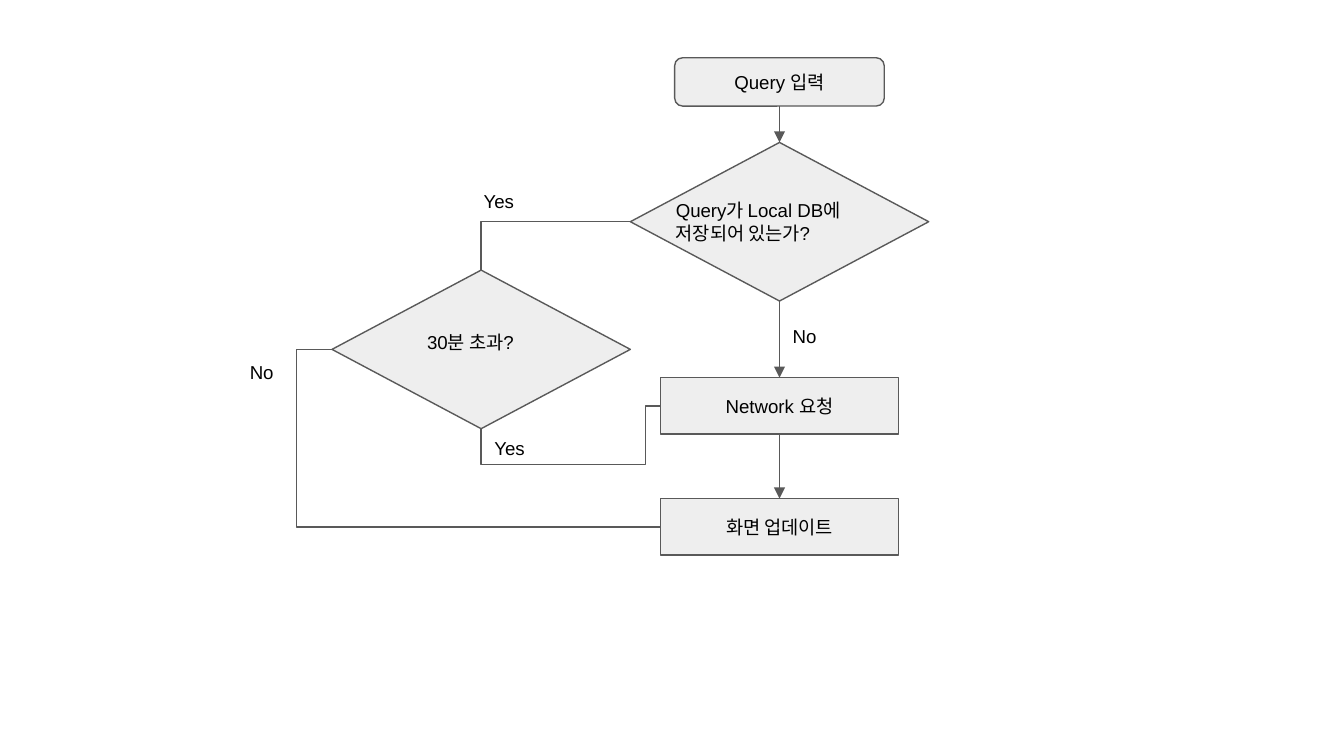
from dataclasses import dataclass

from lxml import etree
from pptx import Presentation
from pptx.dml.color import RGBColor
from pptx.enum.shapes import MSO_CONNECTOR, MSO_SHAPE
from pptx.enum.text import MSO_ANCHOR, PP_ALIGN
from pptx.oxml.ns import qn
from pptx.util import Inches, Pt

ROUNDED, RECT, DIAMOND = MSO_SHAPE.ROUNDED_RECTANGLE, MSO_SHAPE.RECTANGLE, MSO_SHAPE.DIAMOND
STRAIGHT, ELBOW = MSO_CONNECTOR.STRAIGHT, MSO_CONNECTOR.ELBOW
TOP, MIDDLE = MSO_ANCHOR.TOP, MSO_ANCHOR.MIDDLE
LEFT, CENTER = PP_ALIGN.LEFT, PP_ALIGN.CENTER

COLORS = {"fill": "EEEEEE", "line": "595959", "text": "000000"}
FONT, FONT_SIZE, LINE_WIDTH, INSET = "Arial", 10, 0.75, 0.1
SLIDE_WIDTH = 10
SLIDE_HEIGHT = SLIDE_WIDTH * 9 / 16

# Grid: centre lines of the columns, top edges of the rows (inches)
COLUMNS = {"side": 3.58, "main": 5.8}
ROWS = {"input": 0.43, "stored": 1.06, "expired": 2.01, "request": 2.81, "update": 3.71}
SIZES = {ROUNDED: (1.56, 0.36), DIAMOND: (2.22, 1.18), RECT: (1.77, 0.42)}


@dataclass(frozen=True)
class Node:
    kind: int
    column: str
    row: str
    text: str = ""

    @property
    def frame(self) -> tuple[float, float, float, float]:
        width, height = SIZES[self.kind]
        return COLUMNS[self.column] - width / 2, ROWS[self.row], width, height

    def side(self, name: str) -> tuple[float, float]:
        x, y, width, height = self.frame
        return {
            "top": (x + width / 2, y),
            "bottom": (x + width / 2, y + height),
            "left": (x, y + height / 2),
        }[name]


@dataclass(frozen=True)
class Label:
    text: str
    left: float
    top: float
    width: float
    height: float


@dataclass(frozen=True)
class Elbow:
    start: tuple[float, float]
    end: tuple[float, float]
    preset: str
    adjustments: tuple[int, ...] = ()
    starts_vertical: bool = False


def rgb(name: str) -> RGBColor:
    return RGBColor.from_string(COLORS[name])


def write_text(shape, text: str, anchor, alignment) -> None:
    frame = shape.text_frame
    frame.word_wrap = True
    frame.vertical_anchor = anchor
    frame.margin_left = frame.margin_right = Inches(INSET)
    frame.margin_top = frame.margin_bottom = Inches(INSET)
    frame.text = text
    for paragraph in frame.paragraphs:
        paragraph.alignment = alignment
        paragraph.font.name = FONT
        paragraph.font.size = Pt(FONT_SIZE)
        paragraph.font.color.rgb = rgb("text")


def set_line(shape) -> None:
    shape.line.color.rgb = rgb("line")
    shape.line.width = Pt(LINE_WIDTH)


def draw_node(page, node: Node) -> None:
    box = page.shapes.add_shape(node.kind, *map(Inches, node.frame))
    box.shadow.inherit = False
    box.fill.solid()
    box.fill.fore_color.rgb = rgb("fill")
    set_line(box)
    if node.text:
        write_text(box, node.text, MIDDLE, CENTER)


def draw_label(page, label: Label) -> None:
    frame = (label.left, label.top, label.width, label.height)
    box = page.shapes.add_textbox(*map(Inches, frame))
    write_text(box, label.text, TOP, LEFT)


def draw_connector(page, kind, start: tuple[float, float], end: tuple[float, float]):
    connector = page.shapes.add_connector(kind, *map(Inches, (*start, *end)))
    set_line(connector)
    etree.SubElement(connector._element.spPr, qn("a:effectLst"))
    return connector


def draw_arrow(page, source: Node, target: Node) -> None:
    arrow = draw_connector(page, STRAIGHT, source.side("bottom"), target.side("top"))
    etree.SubElement(arrow.line._get_or_add_ln(), qn("a:tailEnd"), type="triangle")


def draw_elbow(page, elbow: Elbow) -> None:
    start, end = elbow.start, elbow.end
    if elbow.starts_vertical:
        # The path is laid out a quarter turn ahead, then turned back by 270 degrees
        middle_x, middle_y = (start[0] + end[0]) / 2, (start[1] + end[1]) / 2
        start, end = (
            (middle_x - (y - middle_y), middle_y + (x - middle_x)) for x, y in (start, end)
        )
    connector = draw_connector(page, ELBOW, start, end)
    properties = connector._element.spPr
    if elbow.starts_vertical:
        properties.find(qn("a:xfrm")).set("rot", str(270 * 60000))
    geometry = properties.find(qn("a:prstGeom"))
    geometry.set("prst", elbow.preset)
    guides = geometry.find(qn("a:avLst"))
    for number, value in enumerate(elbow.adjustments, 1):
        name = f"adj{number}"
        etree.SubElement(guides, qn("a:gd"), name=name, fmla=f"val {value}")


def main() -> None:
    deck = Presentation()
    deck.slide_width, deck.slide_height = Inches(SLIDE_WIDTH), Inches(SLIDE_HEIGHT)
    page = deck.slides.add_slide(deck.slide_layouts[6])

    # Steps and decisions
    query = Node(ROUNDED, "main", "input", "Query 입력")
    stored = Node(DIAMOND, "main", "stored")
    expired = Node(DIAMOND, "side", "expired")
    request = Node(RECT, "main", "request", "Network 요청")
    update = Node(RECT, "main", "update", "화면 업데이트")
    for node in (query, stored, expired, request, update):
        draw_node(page, node)

    # Main flow downwards
    for source, target in ((query, stored), (stored, request), (request, update)):
        draw_arrow(page, source, target)

    # Branches
    elbows = (
        Elbow(stored.side("left"), expired.side("top"), "bentConnector2"),
        Elbow(expired.side("bottom"), request.side("left"),
              "bentConnector4", (-155300, 91600), starts_vertical=True),
        Elbow(expired.side("left"), update.side("left"), "bentConnector3", (-10700,)),
    )
    for elbow in elbows:
        draw_elbow(page, elbow)

    # Questions and branch labels
    labels = (
        Label("Query가 Local DB에\n저장되어 있는가?", 4.93, 1.38, 1.98, 0.42),
        Label("30분 초과?", 3.08, 2.38, 1.98, 0.42),
        Label("Yes", 3.5, 1.33, 0.57, 0.27),
        Label("No", COLUMNS["main"], 2.33, 0.57, 0.53),
        Label("Yes", COLUMNS["side"], 3.17, 0.49, 0.32),
        Label("No", 1.76, 2.6, 0.49, 0.32),
    )
    for label in labels:
        draw_label(page, label)

    deck.save("out.pptx")


if __name__ == "__main__":
    main()
